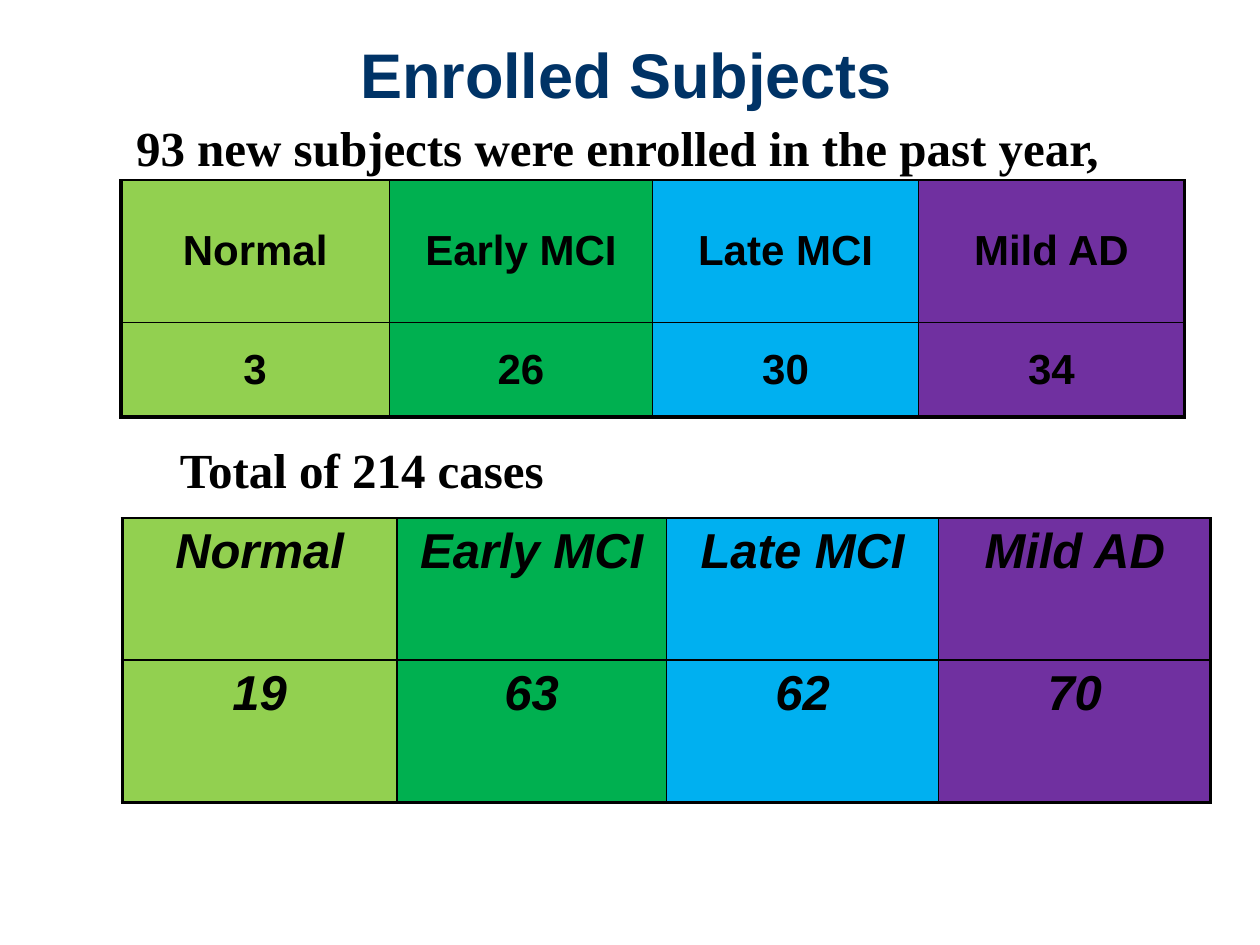
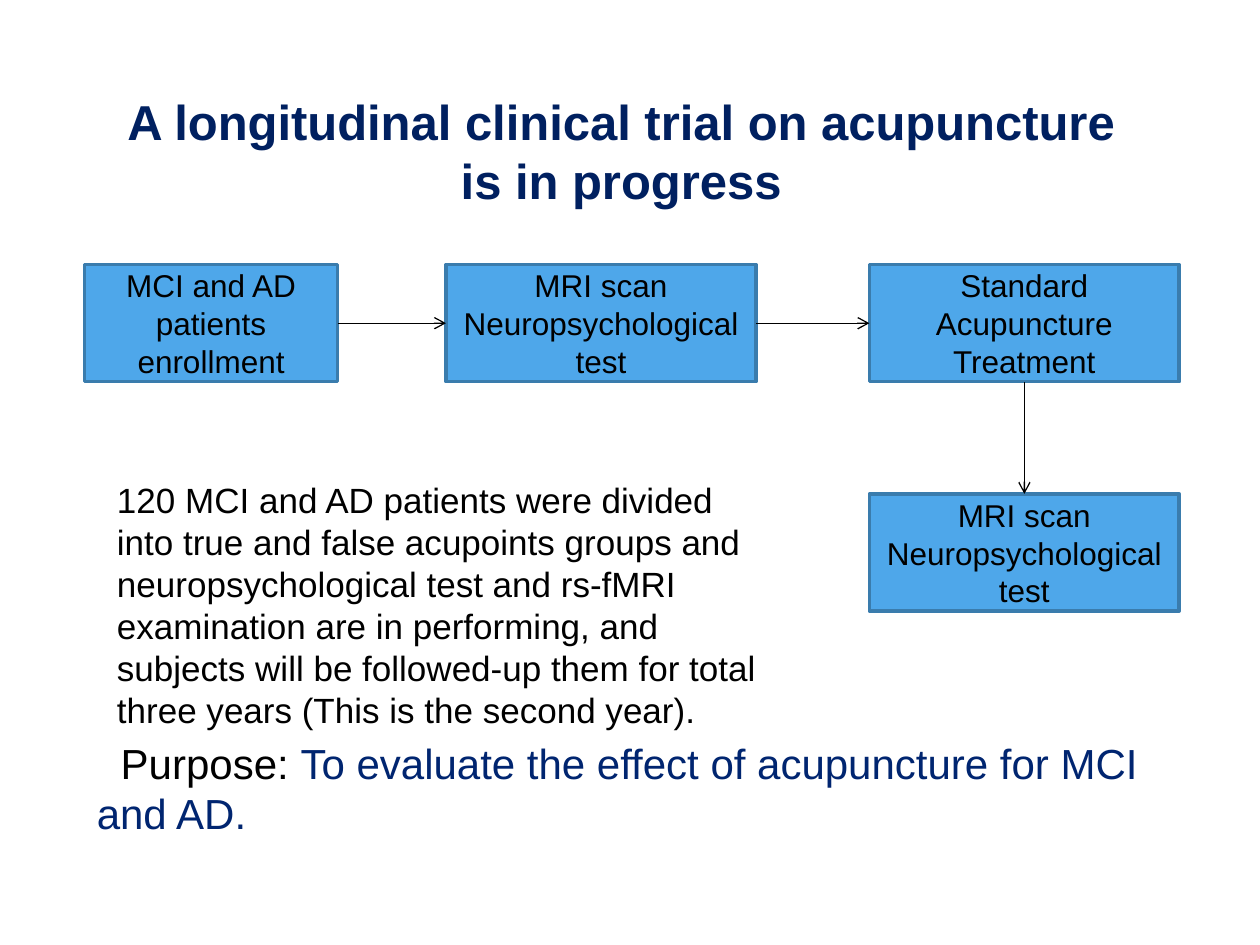
from lxml.etree import SubElement as Sub
from pptx import Presentation
from pptx.dml.color import RGBColor as RGB
from pptx.enum.shapes import MSO_CONNECTOR as Line, MSO_SHAPE as Shape
from pptx.enum.text import MSO_ANCHOR as Anchor, PP_ALIGN as Align
from pptx.oxml.ns import qn
from pptx.util import Inches, Pt

COLORS = {
    "black": "000000", "title": "003366", "navy": "002060", "aim": "002570",
    "lime": "92D050", "green": "00B050", "sky": "00B0F0", "plum": "7030A0",
    "box": "4EA7EA", "edge": "3A7CAD",
}
GROUPS = ["Normal", "Early MCI", "Late MCI", "Mild AD"]
FILLS = ["lime", "green", "sky", "plum"]
SANS, SERIF = "Arial", "Times New Roman"
TOP, LEFT, BOTTOM, RIGHT = 0, 1, 2, 3


def color(name):
    return RGB.from_string(COLORS[name])


class Deck:
    def __init__(self):
        self.prs = Presentation()
        self.prs.slide_width = Inches(10)
        self.prs.slide_height = Inches(7.5)
        self.slide = None

    def page(self):
        self.slide = self.prs.slides.add_slide(self.prs.slide_layouts[6])

    def put(self, frame, paras, size, font=SANS, bold=False, ital=False,
            align=Align.CENTER):
        for i, runs in enumerate(paras):
            para = frame.paragraphs[0] if i == 0 else frame.add_paragraph()
            para.alignment = align
            for words, tint in runs:
                run = para.add_run()
                run.text = words
                run.font.name = font
                run.font.size = Pt(size)
                run.font.bold = bold
                run.font.italic = ital
                run.font.color.rgb = color(tint)

    def text(self, area, runs, size, anchor=Anchor.TOP, indent=0, **style):
        box = self.slide.shapes.add_textbox(*map(Inches, area))
        frame = box.text_frame
        frame.word_wrap = True
        frame.vertical_anchor = anchor
        self.put(frame, [runs], size, **style)
        if indent:
            props = frame.paragraphs[0]._p.get_or_add_pPr()
            props.set("indent", str(Inches(indent)))

    def box(self, area, lines):
        box = self.slide.shapes.add_shape(Shape.RECTANGLE, *map(Inches, area))
        box.shadow.inherit = False
        box.fill.solid()
        box.fill.fore_color.rgb = color("box")
        box.line.color.rgb = color("edge")
        box.line.width = Pt(2)
        box.text_frame.word_wrap = True
        box.text_frame.vertical_anchor = Anchor.MIDDLE
        self.put(box.text_frame, [[(line, "black")] for line in lines], 18)
        return box

    def arrow(self, start, side, end, goal):
        link = self.slide.shapes.add_connector(Line.STRAIGHT, 0, 0, 0, 0)
        link.begin_connect(start, side)
        link.end_connect(end, goal)
        link.line.color.rgb = color("black")
        link.line.width = Pt(0.75)
        Sub(link.line._get_or_add_ln(), qn("a:tailEnd"), type="arrow")
        Sub(link._element.spPr, qn("a:effectLst"))

    def border(self, cell, widths):
        props = cell._tc.get_or_add_tcPr()
        for side, width in widths.items():
            line = Sub(props, qn("a:ln" + side), w=str(Pt(width)))
            fill = Sub(line, qn("a:solidFill"))
            Sub(fill, qn("a:srgbClr"), val=COLORS["black"])

    def table(self, left, top, cols, rows, counts, size, anchor, ital=False):
        data = [GROUPS, counts]
        table = self.slide.shapes.add_table(
            len(rows), len(cols), Inches(left), Inches(top),
            Inches(sum(cols)), Inches(sum(rows))).table
        table.first_row = table.horz_banding = False
        for col, width in zip(table.columns, cols):
            col.width = Inches(width)
        for r, height in enumerate(rows):
            table.rows[r].height = Inches(height)
            for c, fill in enumerate(FILLS):
                cell = table.cell(r, c)
                self.border(cell, {
                    "L": 2.25 if c == 0 else 1,
                    "R": 2.25 if c == len(cols) - 1 else 1,
                    "T": 1,
                    "B": 2.25 if r == len(rows) - 1 else 1,
                })
                cell.fill.solid()
                cell.fill.fore_color.rgb = color(fill)
                cell.vertical_anchor = anchor
                self.put(cell.text_frame, [[(data[r][c], "black")]], size,
                         bold=True, ital=ital)


def enrolled(deck):
    deck.page()
    deck.text((2.76, 0.21, 4.92, 0.74), [("Enrolled Subjects", "title")], 36,
              Anchor.MIDDLE, bold=True, align=Align.LEFT)
    deck.text((0.39, 0.88, 9.02, 0.57),
              [("93 new subjects were enrolled in the past year,", "black")],
              28, font=SERIF, bold=True)
    deck.table(0.96, 1.43, [2.13, 2.09, 2.11, 2.11], [1.13, 0.75],
               ["3", "26", "30", "34"], 24, Anchor.MIDDLE)
    deck.text((1.33, 3.44, 3.2, 0.57), [("Total of 214 cases", "black")], 28,
              font=SERIF, bold=True, align=Align.LEFT)
    deck.table(0.97, 4.11, [2.18, 2.14, 2.16, 2.16], [1.13, 1.13],
               ["19", "63", "62", "70"], 28, Anchor.TOP, ital=True)


def trial(deck):
    deck.page()
    deck.text((0.75, 0.68, 8.36, 1.04),
              [("A longitudinal clinical trial on acupuncture is in progress",
                "navy")], 28, bold=True)
    scan = ["MRI scan", "Neuropsychological test"]
    wide, high = 2.46, 0.93
    enroll = deck.box((0.67, 2.1, 2.01, high),
                      ["MCI and AD patients enrollment"])
    first = deck.box((3.54, 2.1, wide, high), scan)
    treat = deck.box((6.9, 2.1, wide, high),
                     ["Standard Acupuncture Treatment"])
    last = deck.box((6.9, 3.92, wide, high), scan)
    deck.arrow(enroll, RIGHT, first, LEFT)
    deck.arrow(first, RIGHT, treat, LEFT)
    deck.arrow(treat, BOTTOM, last, TOP)
    deck.text((0.67, 5.8, 8.74, 0.91),
              [("Purpose: ", "black"),
               ("To evaluate the effect of acupuncture for MCI and AD.",
                "aim")], 24, indent=0.19, align=Align.LEFT)
    deck.text((0.83, 3.75, 5.28, 2.12),
              [("120 MCI and AD patients were divided into true and false "
                "acupoints groups and neuropsychological test and rs-fMRI "
                "examination are in performing, and subjects will be "
                "followed-up them for total three years "
                "(This is the second year).", "black")],
              20, align=Align.LEFT)


def main():
    deck = Deck()
    enrolled(deck)
    trial(deck)
    deck.prs.save("out.pptx")


if __name__ == "__main__":
    main()
